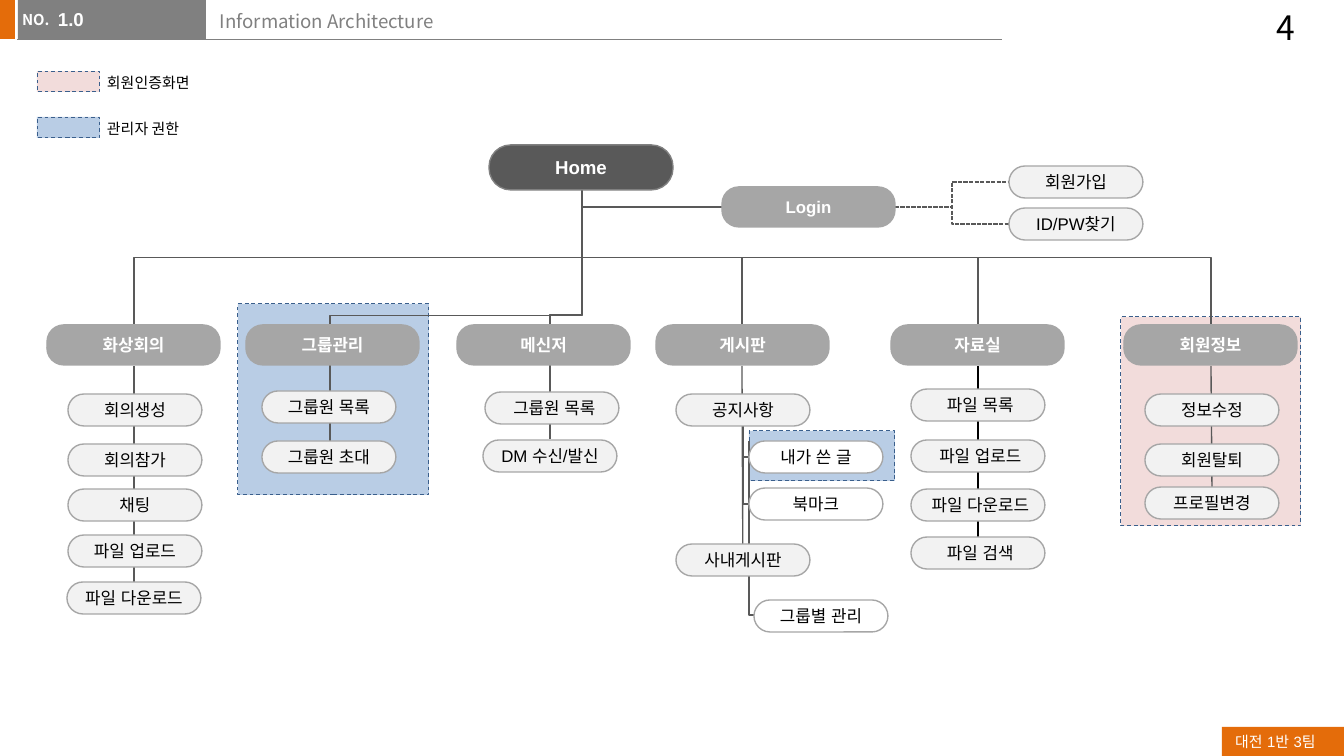
"""Build the information architecture slide: a site map with legend, header and footer."""
from lxml import etree
from pptx import Presentation
from pptx.dml.color import RGBColor
from pptx.enum.dml import MSO_LINE
from pptx.enum.shapes import MSO_CONNECTOR, MSO_SHAPE
from pptx.enum.text import MSO_ANCHOR, PP_ALIGN
from pptx.oxml.ns import qn
from pptx.util import Emu, Pt

RECT, ROUND = MSO_SHAPE.RECTANGLE, MSO_SHAPE.ROUNDED_RECTANGLE
STRAIGHT, ELBOW = MSO_CONNECTOR.STRAIGHT, MSO_CONNECTOR.ELBOW
DASH, SHORT_DASH = MSO_LINE.DASH, MSO_LINE.SQUARE_DOT
MIDDLE, CENTER = MSO_ANCHOR.MIDDLE, PP_ALIGN.CENTER
ARIAL, NOTO = "Arial", "Noto Sans CJK KR"
ORANGE, GRAY, DARK, MID, PALE = "E46C0A", "808080", "595959", "A6A6A6", "F2F2F2"
PINK, BLUE, NAVY, WHITE, BLACK = "F2DCDB", "B9CDE5", "3A5F8C", "FFFFFF", "000000"
SCALE = 914400 / 134.4

HEAD_SIZE, HEAD_TOP, PAGE_SIZE = (173, 40), 325, (134, 32)
COLUMNS = [
    ("화상회의", 47, [("회의생성", 68, 394), ("회의참가", 68, 444), ("채팅", 68, 489),
                  ("파일 업로드", 68, 535), ("파일 다운로드", 67, 582)]),
    ("그룹관리", 246, [("그룹원 목록", 262, 391), ("그룹원 초대", 262, 441)]),
    ("메신저", 457, [(" 그룹원 목록", 485, 392), ("DM 수신/발신", 483, 440)]),
    ("게시판", 656, [("공지사항", 676, 394), ("사내게시판", 676, 544)]),
    ("자료실", 891, [(" 파일 목록", 911, 389), (" 파일 업로드", 911, 440),
                  (" 파일 다운로드", 911, 489), (" 파일 검색", 911, 537)]),
    ("회원정보", 1124, [("정보수정", 1145, 394), ("회원탈퇴", 1145, 444), ("프로필변경", 1145, 487)]),
]
LOGIN_PAGES = [("회원가입", 1009, 166), ("ID/PW찾기", 1009, 208)]
BOARD_PAGES = [("내가 쓴 글", 749, 441), ("북마크", 749, 488), ("그룹별 관리", 754, 600)]
ZONES = [((238, 304, 191, 191), BLUE), ((1121, 317, 180, 209), PINK), ((749, 431, 146, 50), BLUE)]
LEGEND = [("회원인증화면", 71, PINK), ("관리자 권한", 117, BLUE)]

HOME_EXIT, LOGIN_ENTRY, LOGIN_EXIT = (582, 190), (722, 207), (895, 207)
BRANCHES = [(134, 325), (330, 441), (550, 439), (742, 325), (978, 325), (1211, 325)]
STEMS = [((134, 366), (134, 582), DARK), ((742, 366), (743, 575), DARK),
         ((978, 366), (978, 538), BLACK), ((1211, 366), (1212, 487), DARK)]
CORNERS = [(HOME_EXIT, LOGIN_ENTRY), ((743, 426), (749, 457)),
           ((743, 426), (749, 504)), ((749, 441), (754, 615))]

prs = Presentation()
prs.slide_width, prs.slide_height = Emu(round(1344 * SCALE)), Emu(round(756 * SCALE))
slide = prs.slides.add_slide(prs.slide_layouts[6])


def px(*lengths):
    return [Emu(round(length * SCALE)) for length in lengths]


def color(value):
    return RGBColor.from_string(value)


def write(frame, text, size, ink, font=ARIAL, bold=False, before=0):
    frame.text = text
    paragraph = frame.paragraphs[0]
    paragraph.space_before = Pt(before)
    run = paragraph.runs[0]
    run.font.size, run.font.bold, run.font.name = Pt(size), bold, font
    run.font.color.rgb = color(ink)
    etree.SubElement(run.font._element, qn("a:ea")).set("typeface", font)
    return paragraph


def block(box, fill, outline=None, width=0.5, dash=None, kind=RECT):
    shape = slide.shapes.add_shape(kind, *px(*box))
    shape.shadow.inherit = False
    shape.fill.solid()
    shape.fill.fore_color.rgb = color(fill)
    if outline:
        shape.line.color.rgb, shape.line.width = color(outline), Pt(width)
        shape.line.dash_style = dash
    else:
        shape.line.fill.background()
    return shape


def label(box, text, size, ink, font=NOTO, bold=False, wrap=True, before=0, inset=13):
    frame = slide.shapes.add_textbox(*px(*box)).text_frame
    frame.word_wrap = wrap
    frame.margin_left = frame.margin_right = px(inset)[0]
    write(frame, text, size, ink, font, bold, before)


def node(box, text, fill, outline=MID, ink=BLACK, size=9, radius=0.5, bold=False):
    shape = block(box, fill, outline, 0.75, kind=ROUND)
    shape.adjustments[0] = radius
    frame = shape.text_frame
    frame.vertical_anchor, frame.word_wrap = MIDDLE, True
    frame.margin_left = frame.margin_right = frame.margin_top = frame.margin_bottom = px(3)[0]
    write(frame, text, size, ink, bold=bold, before=1).alignment = CENTER


def head(text, left, top):
    node((left, top, *HEAD_SIZE), text, MID, ink=WHITE, radius=0.42, bold=True)


def page(text, left, top, fill=PALE):
    node((left, top, *PAGE_SIZE), text, fill)


def link(start, end, ink=DARK, kind=STRAIGHT, width=0.75, dash=None):
    connector = slide.shapes.add_connector(kind, *px(*start, *end))
    connector.line.color.rgb, connector.line.width = color(ink), Pt(width)
    connector.line.dash_style = dash
    etree.SubElement(connector._element.spPr, qn("a:effectLst"))
    return connector


def drop(start, end, preset="bentConnector3"):
    (x1, y1), (x2, y2) = start, end
    run, fall = abs(x2 - x1), y2 - y1
    left, top = (x1 + x2 - fall) / 2, (y1 + y2 - run) / 2
    properties = link((left, top), (left + fall, top + run), kind=ELBOW)._element.spPr
    frame = properties.find(qn("a:xfrm"))
    frame.set("rot", str((90 if x2 < x1 else 270) * 60000))
    if x2 > x1:
        frame.set("flipH", "1")
    properties.find(qn("a:prstGeom")).set("prst", preset)


block((-1, 0, 16, 39), ORANGE)
footer = block((1222, 727, 122, 29), ORANGE).text_frame
footer.vertical_anchor, footer.word_wrap = MIDDLE, True
write(footer, "대전 1반 3팀", 8, WHITE)
link((17, 39), (1002, 39), GRAY, width=0.5)
block((18, 0, 188, 39), GRAY)
label((9, 4, 55, 32), "NO.", 8, WHITE, bold=True, wrap=False)
label((58, 1, 148, 42), "1.0", 10, WHITE, ARIAL, True, before=2, inset=0)
label((207, 3, 794, 43), "Information Architecture", 10, GRAY)
label((1263, 0, 81, 40), "4", 18, BLACK)

for text, top, fill in LEGEND:
    block((37, top, 63, 21), fill, NAVY, dash=DASH)
    label((94, top - 4, 115, 32), text, 8, BLACK, wrap=False)
for box, fill in ZONES:
    block(box, fill, NAVY, dash=DASH)

for start, end, ink in STEMS:
    link(start, end, ink)
for end in BRANCHES:
    drop(HOME_EXIT, end)
for start, end in CORNERS:
    drop(start, end, "bentConnector2")
for text, left, top in LOGIN_PAGES:
    link(LOGIN_EXIT, (left, top + PAGE_SIZE[1] / 2), kind=ELBOW, dash=SHORT_DASH)
    page(text, left, top)

node((489, 145, 184, 45), "Home", DARK, GRAY, WHITE, 10, 0.48, True)
head("Login", 722, 187)
for title, head_left, pages in COLUMNS:
    head(title, head_left, HEAD_TOP)
    for text, left, top in pages:
        page(text, left, top)
for text, left, top in BOARD_PAGES:
    page(text, left, top, WHITE)

prs.save("out.pptx")
